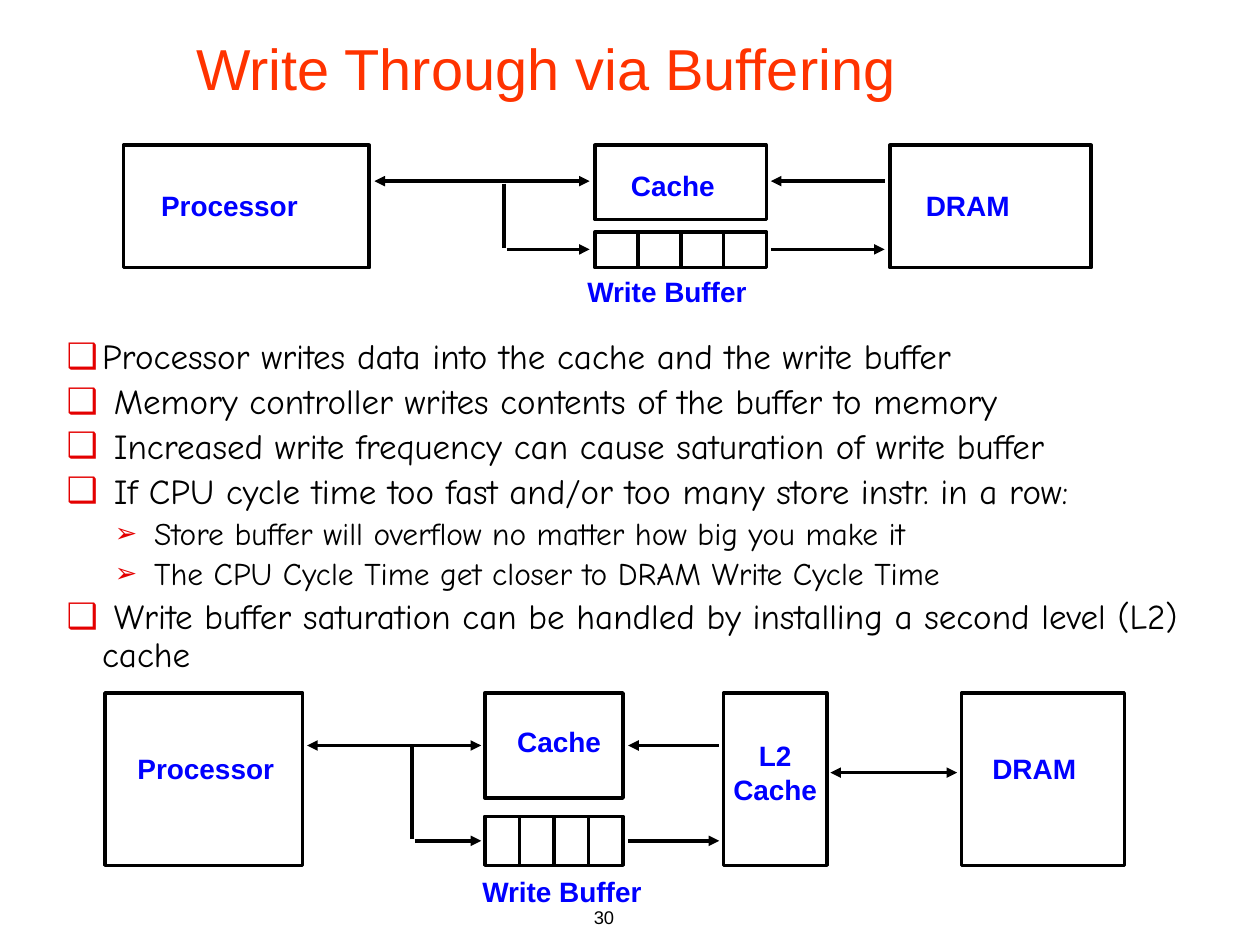
"""Build a slide on write-through caching with a write buffer."""
from pptx import Presentation
from pptx.dml.color import RGBColor
from pptx.enum.shapes import MSO_CONNECTOR as Connector, MSO_SHAPE as Shape
from pptx.enum.text import MSO_ANCHOR as Anchor, MSO_AUTO_SIZE as AutoSize, PP_ALIGN as Align
from pptx.oxml.ns import qn
from pptx.util import Pt
from lxml.etree import SubElement

color = RGBColor.from_string
BLACK, BLUE, RED, ORANGE = "000000", "0000FF", "E40000", "FF3300"

deck = Presentation()
deck.slide_width, deck.slide_height = Pt(720), Pt(540)
slide = deck.slides.add_slide(deck.slide_layouts[6])


def write(text, frame, new=False, size=16, font="Arial", ink=BLUE, bold=False,
          align=Align.LEFT, before=0, spacing=None, bullet=None, bullet_size=100,
          level=0, margin=0, hanging=0):
    paragraph = frame.add_paragraph() if new else frame.paragraphs[0]
    paragraph.alignment, paragraph.level = align, level
    paragraph.space_before, paragraph.line_spacing = Pt(before), spacing
    if bullet:
        props = paragraph._p.get_or_add_pPr()
        props.set("marL", str(Pt(margin)))
        props.set("indent", str(Pt(-hanging)))
        tint = SubElement(props, qn("a:buClr"))
        SubElement(tint, qn("a:srgbClr"), val=RED)
        SubElement(props, qn("a:buSzPct"), val=str(bullet_size * 1000))
        SubElement(props, qn("a:buFont"), typeface="Arial")
        SubElement(props, qn("a:buChar"), char=bullet)
    run = paragraph.add_run()
    run.text = text
    run.font.size, run.font.name, run.font.bold = Pt(size), font, bold
    run.font.color.rgb = color(ink)


def connect(x1, y1, x2, y2, *ends):
    wire = slide.shapes.add_connector(Connector.STRAIGHT, Pt(x1), Pt(y1), Pt(x2), Pt(y2))
    wire.line.width = Pt(2)
    wire.line.color.rgb = color(BLACK)
    for end in ends:
        SubElement(wire.line._ln, qn(f"a:{end}"), type="triangle")
    SubElement(wire._element.spPr, qn("a:effectLst"))


title = slide.shapes.add_textbox(Pt(105), Pt(0), Pt(595.5), Pt(77)).text_frame
title.word_wrap, title.vertical_anchor = True, Anchor.MIDDLE
write("Write Through via Buffering", title, size=33, ink=ORANGE)

page_number = slide.shapes.add_textbox(Pt(208), Pt(514), Pt(150), Pt(26)).text_frame
page_number.word_wrap = True
write("30", page_number, size=10.5, ink=BLACK, align=Align.RIGHT)

points = [
    (0, "Processor writes data into the cache and the write buffer"),
    (0, " Memory controller writes contents of the buffer to memory"),
    (0, " Increased write frequency can cause saturation of write buffer"),
    (0, " If CPU cycle time too fast and/or too many store instr. in a row:"),
    (1, " Store buffer will overflow no matter how big you make it"),
    (1, " The CPU Cycle Time get closer to DRAM Write Cycle Time"),
    (0, " Write buffer saturation can be handled by installing a second level (L2) cache"),
]
level_formats = [
    dict(size=20, bullet="❑", margin=20.25, hanging=20.25),
    dict(size=18, bullet="➢", bullet_size=85, margin=44, hanging=16.5),
]
body = slide.shapes.add_textbox(Pt(31), Pt(190.5), Pt(672), Pt(201)).text_frame
body.word_wrap = True
for index, (level, point) in enumerate(points):
    style = level_formats[level]
    write(point, body, new=index > 0, font="Comic Neue", ink=BLACK, level=level,
          spacing=0.9, before=style["size"] * 0.2 if index else 0, **style)

blocks = [
    (70.5, 83, 140.5, 70), (340, 83, 98, 42.5), (508.5, 83, 115, 70),
    (60, 396, 113, 98.5), (277, 396, 79, 60), (413.5, 396, 59, 98.5),
    (549.5, 396, 93, 98.5),
]
buffers = [(340, 132.5, 98, 20.5), (277, 466.5, 79, 28)]
for block in blocks + buffers:
    outline = slide.shapes.add_shape(Shape.RECTANGLE, *map(Pt, block))
    outline.shadow.inherit = False
    outline.fill.background()
    outline.line.width = Pt(2)
    outline.line.color.rgb = color(BLACK)

for left, top, width, height in buffers:
    for slot in range(1, 4):
        x = left + width * slot / 4
        connect(x, top, x, top + height)

wires = [
    (214, 103.5, 337, 103.5, "headEnd", "tailEnd"),
    (440.5, 103.5, 505.5, 103.5, "headEnd"),
    (288, 105, 288, 142),
    (289.5, 142.5, 337, 142.5, "tailEnd"),
    (440.5, 142.5, 505.5, 142.5, "tailEnd"),
    (175.5, 426, 275, 426, "headEnd", "tailEnd"),
    (359, 426, 411, 426, "headEnd"),
    (235.5, 427, 235.5, 479.5),
    (237, 480.5, 275, 480.5, "tailEnd"),
    (359, 480.5, 411, 480.5, "tailEnd"),
    (474.5, 441.5, 547, 441.5, "headEnd", "tailEnd"),
]
for wire_ends in wires:
    connect(*wire_ends)

labels = [
    ("Processor", 85, 104, 94), ("Cache", 353.5, 93, 64),
    ("DRAM", 522, 104, 64), ("Write Buffer", 328.5, 153.5, 107),
    ("Processor", 71.5, 426, 94), ("Cache", 288.5, 410.5, 64),
    ("L2\nCache", 411, 418.5, 64), ("DRAM", 560, 426, 64),
    ("Write Buffer", 268.5, 496, 107),
]
for label, left, top, width in labels:
    rows = label.split("\n")
    caption = slide.shapes.add_textbox(Pt(left), Pt(top), Pt(width), Pt(7 + 19 * len(rows))).text_frame
    caption.word_wrap, caption.auto_size = False, AutoSize.SHAPE_TO_FIT_TEXT
    for index, row in enumerate(rows):
        write(row, caption, new=index > 0, bold=True,
              align=Align.CENTER if len(rows) > 1 else Align.LEFT)

deck.save("out.pptx")
